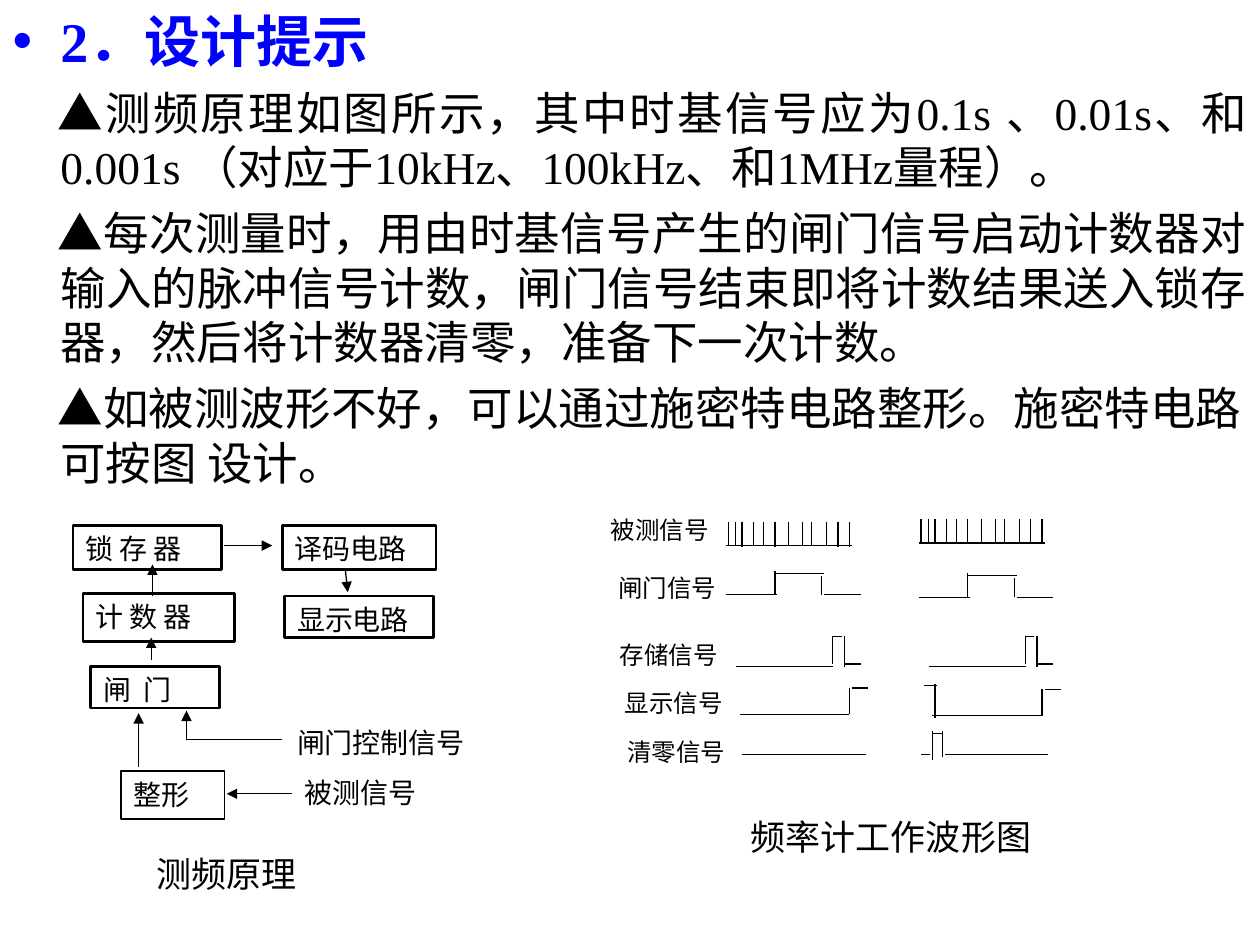
from lxml.etree import SubElement
from pptx import Presentation
from pptx.dml.color import RGBColor
from pptx.enum.shapes import MSO_CONNECTOR as Connector, MSO_SHAPE as Shape
from pptx.enum.text import MSO_ANCHOR as Anchor, MSO_AUTO_SIZE as AutoSize, PP_ALIGN as Align
from pptx.oxml.ns import qn
from pptx.util import Inches, Pt

COLORS = {"text": "000000", "heading": "0000FF", "box": "FFFFFF"}
FONT = "Times New Roman"
COLUMNS, ROWS = 1000, 750
UNIT = Inches(10) // COLUMNS

HEADING = "2．设计提示"
HINTS = [
    ("▲测频原理如图所示，其中时基信号应为0.1s 、0.01s、和 0.001s "
     "（对应于10kHz、100kHz、和1MHz量程）。", Align.JUSTIFY),
    ("▲每次测量时，用由时基信号产生的闸门信号启动计数器对输入的脉冲信号计数，"
     "闸门信号结束即将计数结果送入锁存器，然后将计数器清零，准备下一次计数。", Align.JUSTIFY),
    ("▲如被测波形不好，可以通过施密特电路整形。施密特电路可按图 设计。", Align.LEFT),
]

# Block diagram, in grid units from its corner: text, left, top, width, height, line width
BLOCKS = [
    ("锁 存 器", 0, 0, 118, 35, 1.5),
    ("译码电路", 166, 0, 122, 35, 1.5),
    ("计 数 器", 8, 54, 120, 38, 1.5),
    ("显示电路", 168, 56, 118, 33, 1.5),
    ("闸  门", 14, 112, 102, 33, 1.5),
    ("整形", 38, 195, 82, 38, 0.75),
]
INPUT_LABELS = [("闸门控制信号", 168, 154, 166, 41), ("被测信号", 174, 194, 124, 36)]
ARROWS = [
    (62, 107, 62, 89), (63, 56, 63, 31), (174, 213, 122, 213), (52, 192, 52, 149),
    (90, 170, 90, 147), (120, 16, 158, 16), (216, 34, 218, 53),
]
GATE_CONTROL = (90, 170, 166, 170)

# Waveforms, in grid units from the start of each baseline
PULSES = [(0, 0, 100, 0)] + [
    (x, -19, x, 1 if x in (13, 39, 89, 98) else 0)
    for x in (2, 8, 13, 22, 30, 39, 50, 61, 68, 80, 89, 98)
]
GATE = [(0, 0, 41, 0), (39, -19, 39, 0), (39, -17, 78, -17), (76, -15, 76, 0), (78, 0, 107, 0)]
STORE = [(8, 0, 85, 0), (85, -2, 85, -24), (85, -24, 92, -24), (94, -24, 94, 0), (94, -2, 107, -2)]
DISPLAY = [(11, 0, 98, 0), (98, 0, 98, -21), (100, -21, 113, -21)]
DISPLAY_FALL = [(13, 2, 13, -25), (15, -24, 4, -24)]
CLEAR_IDLE = [(13, 0, 111, 0)]
CLEAR_PULSE = [(2, 0, 9, 0), (11, -19, 11, 4), (11, -17, 19, -17), (19, -19, 19, 2), (21, 0, 103, 0)]
# label, label left and top, baseline, shift of second period, first and second period
SIGNALS = [
    ("被测信号", 0, 0, 29, -2, PULSES, PULSES),
    ("闸门信号", 6, 46, 68, 2, GATE, GATE),
    ("存储信号", 7, 99, 125, 0, STORE, STORE),
    ("显示信号", 11, 137, 163, 1, DISPLAY, DISPLAY + DISPLAY_FALL),
    ("清零信号", 13, 176, 195, 0, CLEAR_IDLE, CLEAR_PULSE),
]
WAVE_LEFT, PERIOD = 101, 153


def color(name):
    return RGBColor.from_string(COLORS[name])


def write(paragraph, text, size, align=Align.JUSTIFY, ink="text", bold=False):
    paragraph.alignment = align
    run = paragraph.add_run()
    run.text = text
    for name, value in {"name": FONT, "size": Pt(size), "bold": bold}.items():
        setattr(run.font, name, value)
    run.font.color.rgb = color(ink)


def add_label(slide, text, left, top, width, height, size):
    box = slide.shapes.add_textbox(*(UNIT * n for n in (left, top, width, height)))
    box.text_frame.word_wrap = True
    write(box.text_frame.paragraphs[0], text, size)


def add_block(slide, text, left, top, width, height, line_width):
    block = slide.shapes.add_shape(
        Shape.RECTANGLE, *(UNIT * n for n in (left, top, width, height)))
    block.shadow.inherit = False
    block.fill.solid()
    block.fill.fore_color.rgb = color("box")
    block.line.color.rgb = color("text")
    block.line.width = Pt(line_width)
    frame = block.text_frame
    for name, value in {"word_wrap": True, "vertical_anchor": Anchor.TOP}.items():
        setattr(frame, name, value)
    write(frame.paragraphs[0], text, 16)


def add_line(slide, left, top, segment, arrow=False):
    x1, y1, x2, y2 = segment
    line = slide.shapes.add_connector(
        Connector.STRAIGHT, UNIT * (left + x1), UNIT * (top + y1),
        UNIT * (left + x2), UNIT * (top + y2))
    line.line.color.rgb = color("text")
    line.line.width = Pt(0.75)
    if arrow:
        SubElement(line.line._get_or_add_ln(), qn("a:tailEnd"), type="triangle")
    SubElement(line._element.spPr, qn("a:effectLst"))


def format_hint(paragraph, indent, space, bullet=None):
    """Set the hanging indent, the space before and an optional coloured bullet."""
    paragraph.space_before = Pt(space)
    properties = paragraph._p.get_or_add_pPr()
    properties.set("marL", str(Inches(0.38)))
    properties.set("indent", str(Inches(indent)))
    if bullet:
        bullet_color = SubElement(properties, qn("a:buClr"))
        SubElement(bullet_color, qn("a:srgbClr"), val=COLORS["heading"])
        SubElement(properties, qn("a:buChar"), char=bullet)
    else:
        SubElement(properties, qn("a:buNone"))


def fill_hints(body, left, top, width, height):
    box = {"left": left, "top": top, "width": width, "height": height}
    for name, value in box.items():
        setattr(body, name, UNIT * value)
    frame = body.text_frame
    for name, value in {"word_wrap": True, "auto_size": AutoSize.NONE,
                        "vertical_anchor": Anchor.TOP}.items():
        setattr(frame, name, value)
    heading = frame.paragraphs[0]
    write(heading, HEADING, 32, ink="heading", bold=True)
    format_hint(heading, -0.38, 8, "•")
    for text, align in HINTS:
        paragraph = frame.add_paragraph()
        write(paragraph, text, 26, align)
        format_hint(paragraph, -0.02, 6.5)


def draw_block_diagram(slide, left, top):
    for text, x, y, width, height, line_width in BLOCKS:
        add_block(slide, text, left + x, top + y, width, height, line_width)
    for text, x, y, width, height in INPUT_LABELS:
        add_label(slide, text, left + x, top + y, width, height, 16)
    for segment in ARROWS:
        add_line(slide, left, top, segment, arrow=True)
    add_line(slide, left, top, GATE_CONTROL)
    add_label(slide, "测频原理", left + 56, top + 255, 172, 36, 20)


def draw_waveforms(slide, left, top):
    for text, x, y, baseline, shift, first, second in SIGNALS:
        add_label(slide, text, left + x, top + y, 110, 36, 14)
        for index, segments in enumerate((first, second)):
            for segment in segments:
                add_line(slide, left + WAVE_LEFT + index * PERIOD,
                         top + baseline + index * shift, segment)
    add_label(slide, "频率计工作波形图", left + 111, top + 238, 246, 41, 20)


def main():
    presentation = Presentation()
    presentation.slide_width = UNIT * COLUMNS
    presentation.slide_height = UNIT * ROWS
    slide = presentation.slides.add_slide(presentation.slide_layouts[1])
    title = slide.shapes.title
    title._element.getparent().remove(title._element)
    fill_hints(slide.placeholders[1], 0, 0, COLUMNS, 408)
    draw_block_diagram(slide, 58, 417)
    draw_waveforms(slide, 475, 404)
    presentation.save("out.pptx")


if __name__ == "__main__":
    main()
